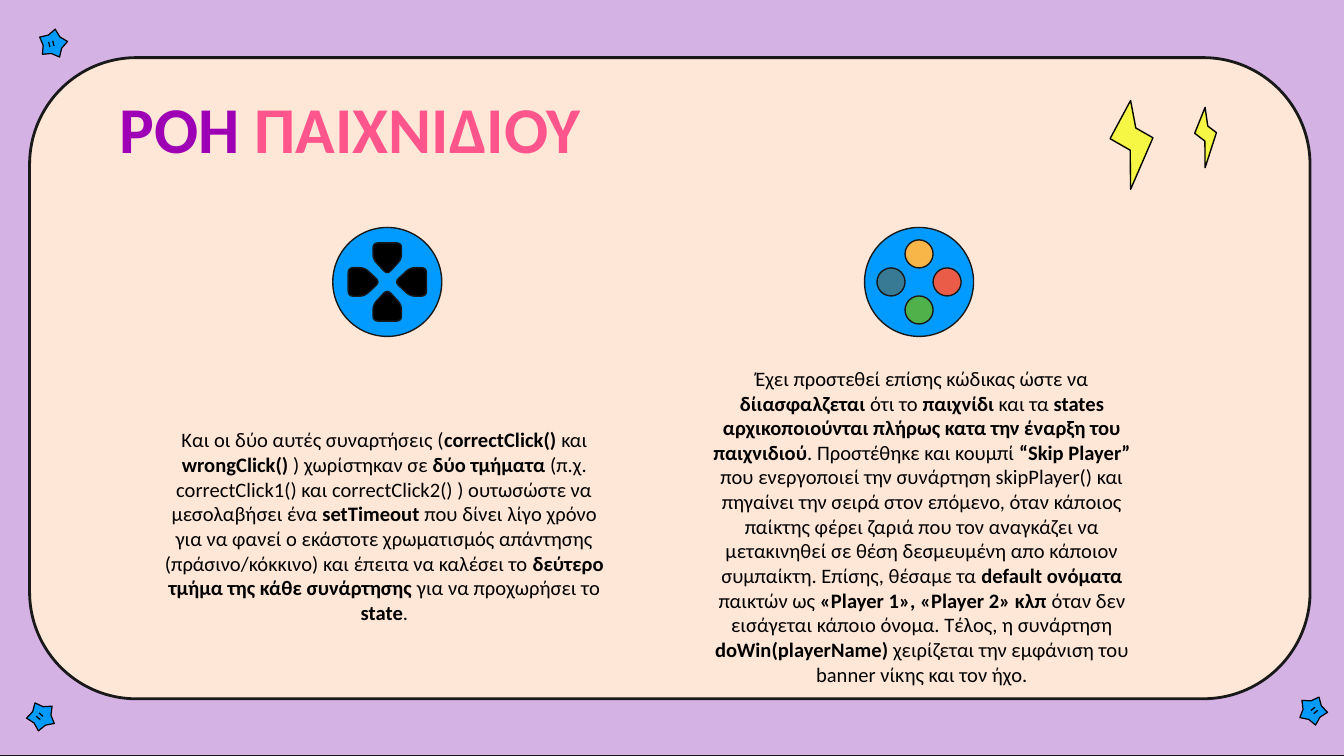
from dataclasses import dataclass
from math import cos, pi, radians, sin

from lxml.etree import SubElement
from pptx import Presentation
from pptx.dml.color import RGBColor
from pptx.enum.shapes import MSO_CONNECTOR, MSO_SHAPE
from pptx.enum.text import MSO_ANCHOR, PP_ALIGN
from pptx.oxml.ns import qn
from pptx.util import Cm, Pt


@dataclass(frozen=True)
class Theme:
    font: str = "Calibri"
    title_size: float = 35
    body_size: float = 11
    lilac: str = "D4B2E4"
    cream: str = "FFE7D7"
    ink: str = "191919"
    black: str = "000000"
    blue: str = "019BFF"
    yellow: str = "F6F645"
    purple: str = "9E00B5"
    pink: str = "FE558C"
    buttons: tuple = ("F8B649", "EB5C48", "50B049", "387993")  # clockwise from top
    thin: float = 0.64
    line: float = 0.75
    frame: float = 1.5


@dataclass(frozen=True)
class Box:
    """A region in centimetres."""
    left: float
    top: float
    width: float
    height: float

    @property
    def centre(self):
        return self.left + self.width / 2, self.top + self.height / 2

    def emu(self):
        return Cm(self.left), Cm(self.top), Cm(self.width), Cm(self.height)


THEME = Theme()

LEFT_TEXT = (
    "Και οι δύο αυτές συναρτήσεις (**correctClick() **και **wrongClick() **) χωρίστηκαν σε "
    "**δύο τμήματα **(π.χ. correctClick1() και correctClick2() ) ουτωσώστε να μεσολαβήσει ένα "
    "**setTimeout **που δίνει λίγο χρόνο για να φανεί ο εκάστοτε χρωματισμός απάντησης "
    "(πράσινο/κόκκινο) και έπειτα να καλέσει το **δεύτερο τμήμα της κάθε συνάρτησης **"
    "για να προχωρήσει το **state**."
)
RIGHT_TEXT = (
    "Έχει προστεθεί επίσης κώδικας ώστε να **δίιασφαλζεται** ότι το **παιχνίδι** και τα "
    "**states αρχικοποιούνται πλήρως κατα την έναρξη του παιχνιδιού**. Προστέθηκε και κουμπί "
    "**“Skip Player” **που ενεργοποιεί την συνάρτηση skipPlayer() και πηγαίνει την σειρά στον "
    "επόμενο, όταν κάποιος παίκτης φέρει ζαριά που τον αναγκάζει να μετακινηθεί σε θέση "
    "δεσμευμένη απο κάποιον συμπαίκτη. Επίσης, θέσαμε τα **default ονόματα** παικτών ως "
    "**«Player 1», «Player 2» κλπ **όταν δεν εισάγεται κάποιο όνομα. Τέλος, η συνάρτηση "
    "**doWin(playerName) **χειρίζεται την εμφάνιση του banner νίκης και τον ήχο."
)


def rgb(colour):
    return RGBColor.from_string(colour)


def paint(shape, fill, line, width):
    shape.shadow.inherit = False
    shape.fill.solid()
    shape.fill.fore_color.rgb = rgb(fill)
    shape.line.color.rgb = rgb(line)
    shape.line.width = Pt(width)


def add_preset(page, kind, box, fill, width=THEME.line):
    shape = page.shapes.add_shape(kind, *box.emu())
    paint(shape, fill, THEME.ink, width)
    return shape


def add_polygon(page, points, fill, line, width):
    corners = [(Cm(x), Cm(y)) for x, y in points]
    builder = page.shapes.build_freeform(*corners[0], scale=1.0)
    builder.add_line_segments(corners[1:], close=True)
    paint(builder.convert_to_shape(), fill, line, width)


def add_text(page, box, spans, size, align):
    """Fill a text box with one paragraph of (text, colour, bold) spans."""
    frame = page.shapes.add_textbox(*box.emu()).text_frame
    frame.word_wrap = True
    frame.vertical_anchor = MSO_ANCHOR.MIDDLE
    frame.margin_left = frame.margin_right = frame.margin_top = frame.margin_bottom = Cm(0.25)
    para = frame.paragraphs[0]
    para.alignment = align
    for text, colour, bold in spans:
        span = para.add_run()
        span.text = text
        span.font.name = THEME.font
        span.font.size = Pt(size)
        span.font.bold = bold
        span.font.color.rgb = rgb(colour)


def add_body(page, box, marked_text):
    """Place a centred paragraph; ** switches bold on and off."""
    spans = [(text, THEME.black, index % 2 == 1)
             for index, text in enumerate(marked_text.split("**"))]
    add_text(page, box, spans, THEME.body_size, PP_ALIGN.CENTER)


def add_backdrop(page, box):
    outer = add_preset(page, MSO_SHAPE.ROUNDED_RECTANGLE, box, THEME.lilac)
    outer.adjustments[0] = 0
    panel = Box(box.left + 0.64, box.top + 1.14, 24.2, 12.12)
    add_preset(page, MSO_SHAPE.ROUNDED_RECTANGLE, panel, THEME.cream, THEME.frame)


def add_star(page, box, turn, lean):
    """Draw a star turned by some degrees, with two eyes leaning by others."""
    x, y = box.centre
    outer = box.width / 2
    points = []
    for step in range(10):
        angle = radians(turn) + step * pi / 5
        radius = outer if step % 2 == 0 else outer * 0.66
        points.append((x + radius * sin(angle), y - radius * cos(angle)))
    add_polygon(page, points, THEME.blue, THEME.black, THEME.thin)

    across, along = cos(radians(lean)), sin(radians(lean))
    middle = x + (0.03 if lean > 0 else -0.03)
    for side in (-0.04, 0.04):
        eye_x, eye_y = middle + side * across, y + side * along
        eye = page.shapes.add_connector(
            MSO_CONNECTOR.STRAIGHT,
            Cm(eye_x + 0.05 * along), Cm(eye_y - 0.05 * across),
            Cm(eye_x - 0.05 * along), Cm(eye_y + 0.05 * across))
        eye.line.color.rgb = rgb(THEME.black)
        eye.line.width = Pt(THEME.thin)
        SubElement(eye._element.spPr, qn("a:effectLst"))


def add_bolt(page, box):
    outline = [(0.48, 0), (0, 0.43), (0.47, 0.56), (0.48, 1), (1, 0.42), (0.6, 0.31)]
    points = [(box.left + x * box.width, box.top + y * box.height) for x, y in outline]
    add_polygon(page, points, THEME.yellow, THEME.black, THEME.line)


def round_corners(corners, cut):
    """Replace every corner with a short curve that starts a given cut before it."""
    points = []
    for index, (x, y) in enumerate(corners):
        ends = []
        for near_x, near_y in (corners[index - 1], corners[(index + 1) % len(corners)]):
            share = cut / ((near_x - x) ** 2 + (near_y - y) ** 2) ** 0.5
            ends.append((x + (near_x - x) * share, y + (near_y - y) * share))
        (from_x, from_y), (to_x, to_y) = ends
        for t in (0, 0.25, 0.5, 0.75, 1):
            a, b, c = (1 - t) ** 2, 2 * t * (1 - t), t ** 2
            points.append((a * from_x + b * x + c * to_x, a * from_y + b * y + c * to_y))
    return points


def add_direction_pad(page, box):
    add_preset(page, MSO_SHAPE.OVAL, box, THEME.blue)
    x, y = box.centre
    key = round_corners(
        [(-0.27, -0.74), (0.27, -0.74), (0.27, -0.43), (0, -0.14), (-0.27, -0.43)], 0.1)
    for turn in range(4):
        add_polygon(page, [(x + u, y + v) for u, v in key],
                    THEME.black, THEME.ink, THEME.line)
        key = [(-v, u) for u, v in key]


def add_button_pad(page, box):
    add_preset(page, MSO_SHAPE.OVAL, box, THEME.blue)
    x, y = box.centre
    size = 0.53
    directions = ((0, -1), (1, 0), (0, 1), (-1, 0))
    for (across, down), colour in zip(directions, THEME.buttons):
        button = Box(x + (across - 0.5) * size, y + (down - 0.5) * size, size, size)
        add_preset(page, MSO_SHAPE.OVAL, button, colour)


def add_column(page, box, draw_icon, icon_left, text):
    draw_icon(page, Box(box.left + icon_left, box.top, 2.06, 2.06))
    add_body(page, Box(box.left, box.top + 2.71, box.width, box.height - 2.71), text)


def main():
    deck = Presentation()
    deck.slide_width, deck.slide_height = Cm(25.4), Cm(14.29)
    page = deck.slides.add_slide(deck.slide_layouts[6])

    add_backdrop(page, Box(-0.08, -0.05, 25.86, 14.33))
    for left, top, turn, lean in ((0.72, 0.55, 9, -14), (24.53, 13.15, 25, 50),
                                  (0.5, 13.26, -25, -50)):
        add_star(page, Box(left, top, 0.56, 0.56), turn, lean)

    add_text(page, Box(2.01, 1.6, 21.41, 1.6),
             [("ΡΟΗ ", THEME.purple, True), ("ΠΑΙΧΝΙΔΙΟΥ", THEME.pink, True)],
             THEME.title_size, PP_ALIGN.LEFT)
    add_column(page, Box(2.72, 4.3, 9.09, 8.58), add_direction_pad, 3.57, LEFT_TEXT)
    add_column(page, Box(12.88, 4.3, 9.09, 8.58), add_button_pad, 3.46, RIGHT_TEXT)
    add_bolt(page, Box(20.98, 1.9, 0.81, 1.68))
    add_bolt(page, Box(22.58, 2.03, 0.41, 1.14))

    deck.save("out.pptx")


if __name__ == "__main__":
    main()
